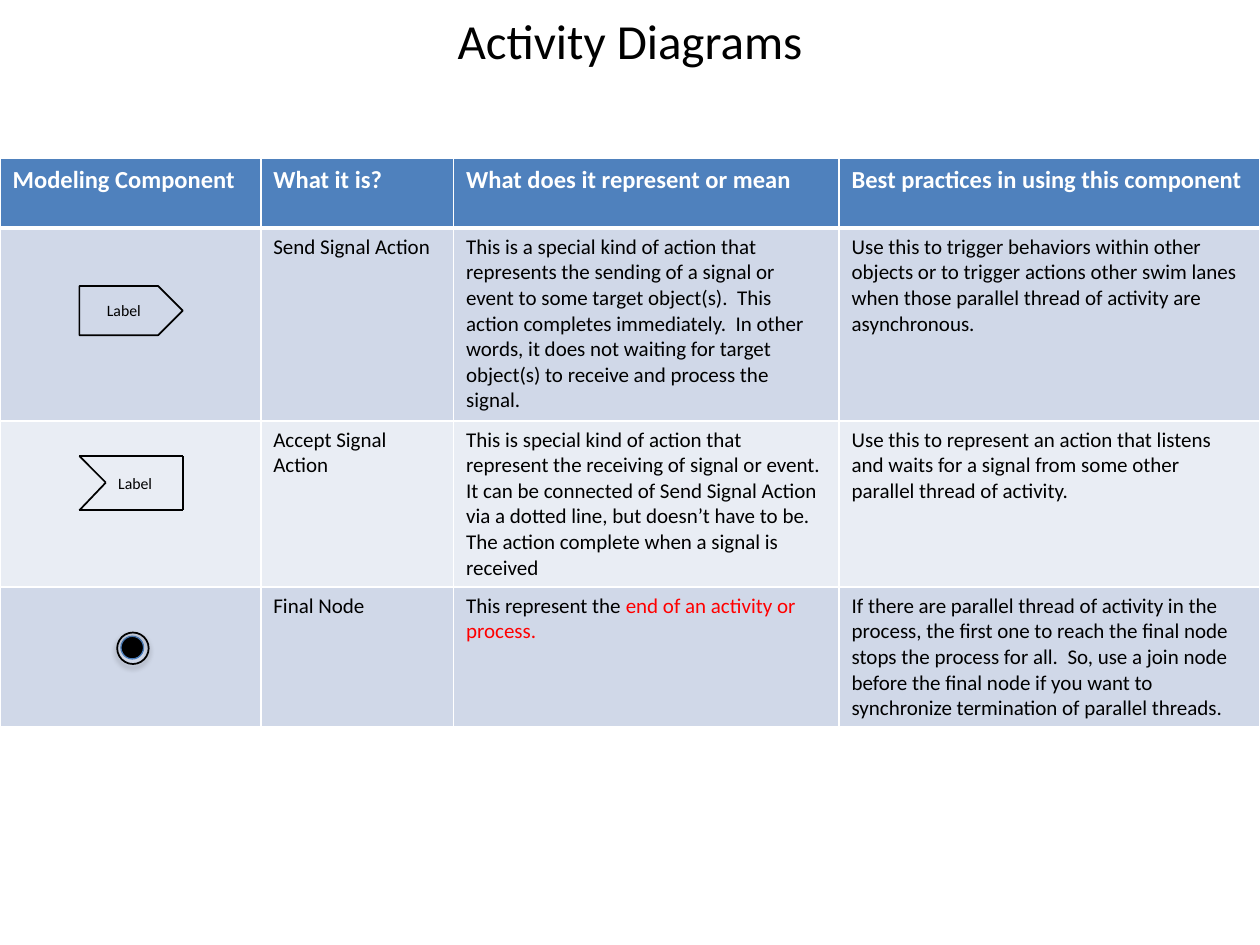
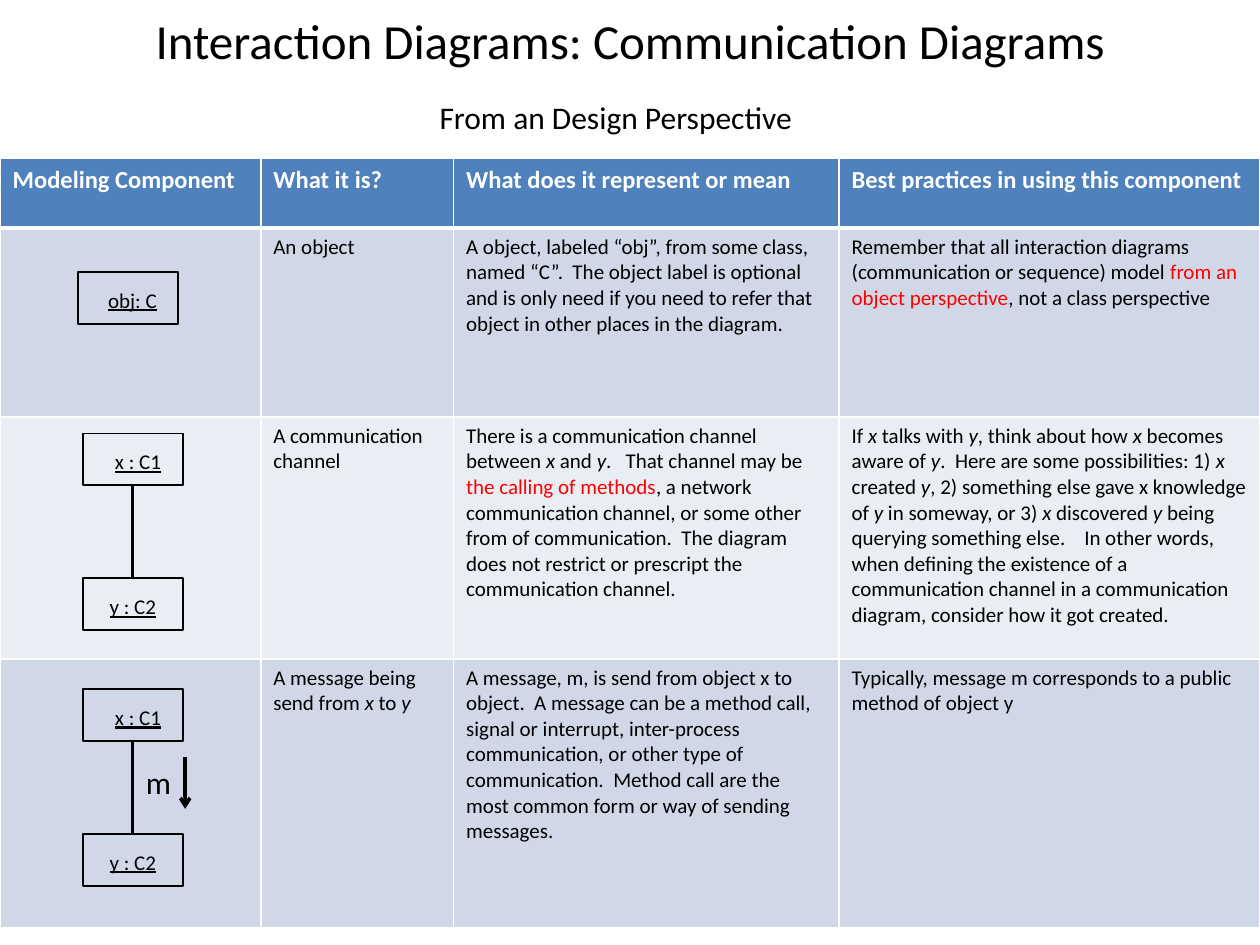
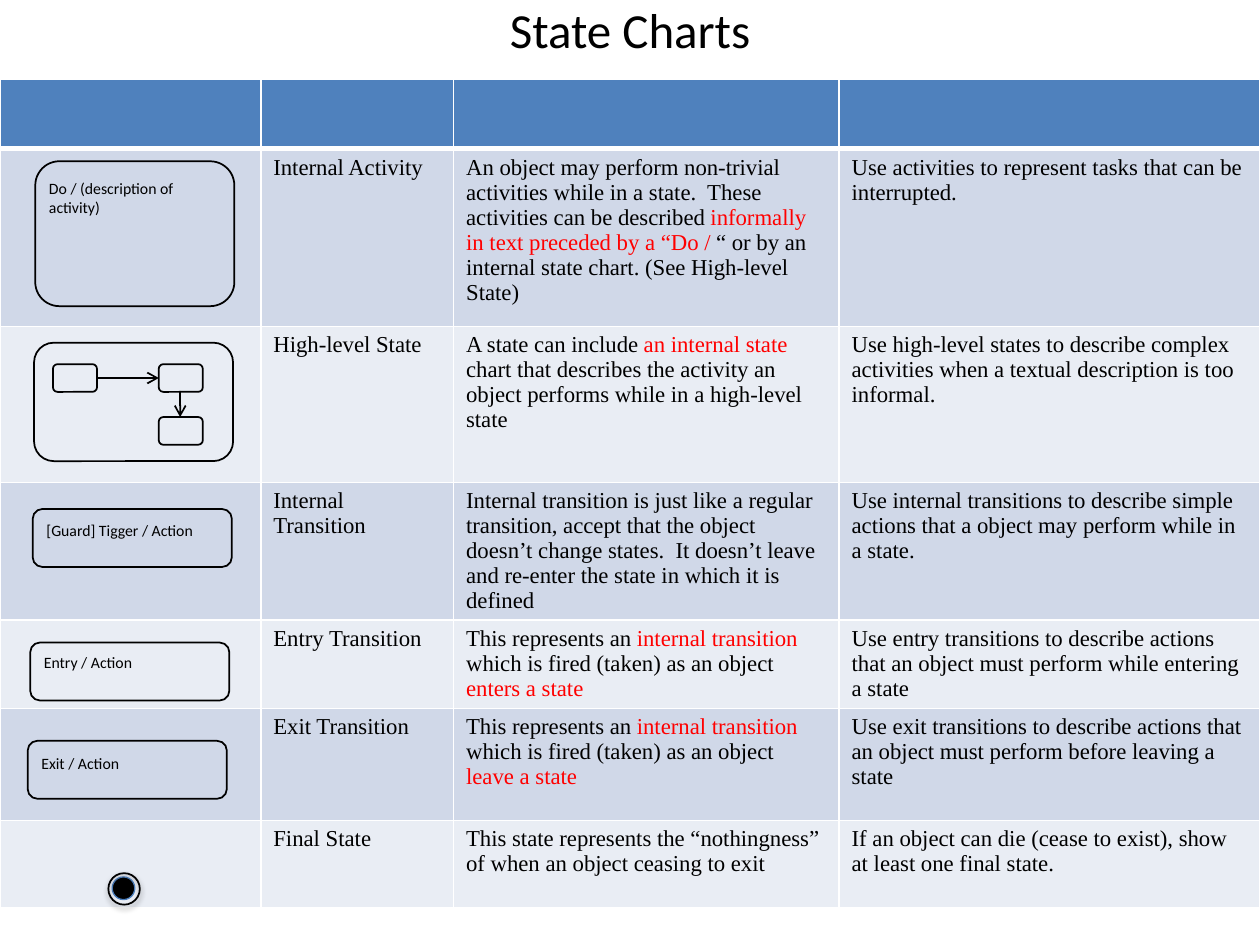
from lxml import etree
from pptx import Presentation
from pptx import util as u
from pptx.dml.color import RGBColor
from pptx.enum import shapes, text
from pptx.oxml import ns

COLORS = {
    "ink": "000000", "paper": "FFFFFF", "header": "4F81BD", "alert": "FF0000",
    "odd_row": "D0D8E8", "even_row": "E9EDF4", "node_edge": "4B7EBC",
}
SANS, SERIF = "Calibri", "Times New Roman"
COLUMN_WIDTHS = [2.07, 1.53, 3.06, 3.34]
HEADINGS = ["Modeling Component", "What it is?", "What does it represent or mean",
            "Best practices in using this component"]
CENTER = text.PP_ALIGN.CENTER
MIDDLE = text.MSO_ANCHOR.MIDDLE
SHAPE = shapes.MSO_SHAPE

ACTIVITY_ROWS = [
    ["Send Signal Action",
     "This is a special kind of action that represents the sending of a signal or event to some "
     "target object(s).  This action completes immediately.  In other words, it does not waiting "
     "for target object(s) to receive and process the signal.",
     "Use this to trigger behaviors within other objects or to trigger actions other swim lanes "
     "when those parallel thread of activity are asynchronous."],
    ["Accept Signal Action",
     "This is special kind of action that represent the receiving of signal or event.  It can be "
     "connected of Send Signal Action via a dotted line, but doesn’t have to be.  The action "
     "complete when a signal is received",
     "Use this to represent an action that listens and waits for a signal from some other "
     "parallel thread of activity."],
    ["Final Node",
     "This represent the |end of an activity or process.|",
     "If there are parallel thread of activity in the process, the first one to reach the final "
     "node stops the process for all.  So, use a join node before the final node if you want to "
     "synchronize termination of parallel threads."],
]
COMMUNICATION_ROWS = [
    ["An object",
     "A object, labeled “obj”, from some class, named “C”.  The object label is optional and is "
     "only need if you need to refer that object in other places in the diagram.",
     "Remember that all interaction diagrams (communication or sequence) model "
     "|from an object perspective|, not a class perspective"],
    ["A communication channel",
     "There is a communication channel between _x_ and _y_.   That channel may be "
     "|the calling of methods|, a network communication channel, or some other from of "
     "communication.  The diagram does not restrict or prescript the communication channel.",
     "If _x_ talks with _y_, think about how _x_ becomes aware of _y_.  Here are some "
     "possibilities: 1) _x_ created _y_, 2) something else gave x knowledge of _y_ in someway, "
     "or 3) _x_ discovered _y_ being querying something else.    In other words, when defining "
     "the existence of a communication channel in a communication diagram, consider how it got "
     "created."],
    ["A message being send from _x_ to _y_",
     "A message, m, is send from object x to object.  A message can be a method call, signal or "
     "interrupt, inter-process communication, or other type of communication.  Method call are "
     "the most common form or way of sending messages.",
     "Typically, message m corresponds to a public method of object y"],
]
STATE_ROWS = [
    ["Internal Activity",
     "An object may perform non-trivial activities while in a state.  These activities can be "
     "described |informally in text preceded by a “Do / |“ or by an internal state chart. "
     "(See High-level State)",
     "Use activities to represent tasks that can be interrupted."],
    ["High-level State",
     "A state can include |an internal state |chart that describes the activity an object "
     "performs while in a high-level state",
     "Use high-level states to describe complex activities when a textual description is too "
     "informal."],
    ["Internal Transition",
     "Internal transition is just like a regular transition, accept that the object doesn’t "
     "change states.  It doesn’t leave and re-enter the state in which it is defined",
     "Use internal transitions to describe simple actions that a object may perform while in a "
     "state."],
    ["Entry Transition",
     "This represents an |internal transition |which is fired (taken) as an object "
     "|enters a state|",
     "Use entry transitions to describe actions that an object must perform while entering a "
     "state"],
    ["Exit Transition",
     "This represents an |internal transition |which is fired (taken) as an object "
     "|leave a state|",
     "Use exit transitions to describe actions that an object must perform before leaving a "
     "state"],
    ["Final State",
     "This state represents the “nothingness” of when an object ceasing to exit",
     "If an object can die (cease to exist), show at least one final state."],
]


def rgb(name):
    """Return the named palette colour."""
    return RGBColor.from_string(COLORS[name])


def add_xml(parent, tag, **attributes):
    """Append a DrawingML element and return it."""
    return etree.SubElement(parent, ns.qn(tag), attributes)


def write_text(frame, content, size=12, font=SANS, color="ink", bold=False,
               underline=False, align=None, line_height=None):
    """Write one paragraph, with |red| and _italic_ marks."""
    paragraph = frame.paragraphs[0]
    paragraph.alignment = align
    if line_height:
        paragraph.line_spacing = u.Pt(line_height)
    for red_index, section in enumerate(content.split("|")):
        for italic_index, part in enumerate(section.split("_")):
            if not part:
                continue
            run = paragraph.add_run()
            run.text = part
            run.font.name = font
            run.font.size = u.Pt(size)
            run.font.bold = bold
            run.font.italic = italic_index % 2 == 1
            run.font.underline = underline
            run.font.color.rgb = rgb("alert" if red_index % 2 else color)


def add_label(slide, box, content, wrap=False, anchor=None, **style):
    """Add a text box."""
    frame = slide.shapes.add_textbox(*map(u.Inches, box)).text_frame
    frame.word_wrap = wrap
    frame.vertical_anchor = anchor
    write_text(frame, content, **style)


def add_outline(slide, kind, box, fill=None, line="ink", width=1):
    """Add a preset shape with a plain outline and an optional fill."""
    shape = slide.shapes.add_shape(kind, *map(u.Inches, box))
    shape.shadow.inherit = False
    if fill:
        shape.fill.solid()
        shape.fill.fore_color.rgb = rgb(fill)
    else:
        shape.fill.background()
    shape.line.color.rgb = rgb(line)
    shape.line.width = u.Pt(width)
    return shape


def add_line(slide, start, end, width=1, arrow=False):
    """Add a straight black line or arrow."""
    line = slide.shapes.add_connector(
        shapes.MSO_CONNECTOR.STRAIGHT, *map(u.Inches, (*start, *end)))
    line.line.color.rgb = rgb("ink")
    line.line.width = u.Pt(width)
    if arrow:
        add_xml(line.line._get_or_add_ln(), "a:tailEnd", type="arrow")
    add_xml(line._element.spPr, "a:effectLst")


def add_title(slide, content, top=0.02):
    """Add the centred slide title."""
    add_label(slide, (0.5, top, 9, 0.6), content, wrap=True, anchor=MIDDLE,
              size=28, align=CENTER)


def style_cell(cell, fill, bottom_width):
    """Give a cell white borders and a fill."""
    properties = cell._tc.get_or_add_tcPr()
    for side in "LRTB":
        width = bottom_width if side == "B" else 1
        border = add_xml(properties, f"a:ln{side}", w=str(u.Pt(width)))
        add_xml(add_xml(border, "a:solidFill"), "a:srgbClr", val=COLORS["paper"])
    cell.fill.solid()
    cell.fill.fore_color.rgb = rgb(fill)


def add_component_table(slide, top, heights, headings, rows, **body_style):
    """Add the four-column table; its first column holds the diagrams."""
    box = (0, top, sum(COLUMN_WIDTHS), sum(heights))
    table = slide.shapes.add_table(len(heights), 4, *map(u.Inches, box)).table
    table.first_row = table.horz_banding = False
    for column, width in zip(table.columns, COLUMN_WIDTHS):
        column.width = u.Inches(width)
    for row, height in zip(table.rows, heights):
        row.height = u.Inches(height)
    header_style = {"size": 14, "color": "paper", "bold": True}
    for row_index, values in enumerate([headings] + [[""] + row for row in rows]):
        is_header = row_index == 0
        fill = "header" if is_header else "odd_row" if row_index % 2 else "even_row"
        for column_index, value in enumerate(values):
            cell = table.cell(row_index, column_index)
            style_cell(cell, fill, 3 if is_header else 1)
            write_text(cell.text_frame, value, **(header_style if is_header else body_style))


def add_final_node(slide, left, top):
    """Draw a black disc in a ring with a soft shadow."""
    add_outline(slide, SHAPE.OVAL, (left + 0.03, top + 0.03, 0.18, 0.18),
                fill="ink", line="node_edge", width=0.75)
    ring = add_outline(slide, SHAPE.OVAL, (left, top, 0.25, 0.25))
    effects = ring._element.spPr.find(ns.qn("a:effectLst"))
    shadow = add_xml(effects, "a:outerShdw", blurRad=str(u.Pt(3.1)), dist=str(u.Pt(1.8)),
                     dir="5400000", rotWithShape="0")
    add_xml(add_xml(shadow, "a:srgbClr", val=COLORS["ink"]), "a:alpha", val="35000")


def add_send_signal(slide, left, top):
    """Draw the send signal pentagon."""
    add_outline(slide, SHAPE.PENTAGON, (left, top, 0.82, 0.39))
    add_label(slide, (left + 0.12, top + 0.07, 0.47, 0.25), "Label", size=9)


def add_accept_signal(slide, left, top):
    """Draw the notched accept signal from five lines."""
    right, bottom = left + 0.82, top + 0.43
    corners = [(left, top), (right, top), (right, bottom), (left, bottom),
               (left + 0.21, top + 0.21)]
    for start, end in zip(corners, corners[1:] + corners[:1]):
        add_line(slide, start, end)
    add_label(slide, (left + 0.21, top + 0.09, 0.47, 0.25), "Label", size=9)


def add_object(slide, left, top, name, indent, align=CENTER):
    """Draw an object box with its underlined name."""
    add_label(slide, (left + indent, top + 0.07, 0.59, 0.3), name, underline=True, align=align)
    add_outline(slide, SHAPE.RECTANGLE, (left, top, 0.79, 0.41))


def add_channel(slide, left, top):
    """Draw two objects joined by a channel."""
    add_object(slide, left, top, "x : C1", 0.14)
    add_object(slide, left, top + 1.15, "y : C2", 0.1)
    add_line(slide, (left + 0.39, top + 0.4), (left + 0.39, top + 1.15), width=2)


def add_message(slide, left, top):
    """Draw a channel with a message arrow beside it."""
    add_channel(slide, left, top)
    add_label(slide, (left + 0.4, top + 0.54, 0.4, 0.4), "m", size=18)
    add_line(slide, (left + 0.81, top + 0.54), (left + 0.81, top + 0.95), width=2, arrow=True)


def add_state(slide, left, top, height, label, label_drop, label_height=0.25):
    """Draw a rounded state with its label."""
    add_outline(slide, SHAPE.ROUNDED_RECTANGLE, (left, top, 1.58, height))
    add_label(slide, (left + 0.01, top + label_drop, 1.55, label_height), label,
              wrap=True, size=9)


def add_high_level_state(slide, left, top):
    """Draw a state that holds three linked states."""
    add_outline(slide, SHAPE.ROUNDED_RECTANGLE, (left, top, 1.58, 0.94))
    for x, y in [(0.15, 0.17), (0.99, 0.17), (0.99, 0.59)]:
        add_outline(slide, SHAPE.ROUNDED_RECTANGLE, (left + x, top + y, 0.35, 0.22))
    add_line(slide, (left + 0.5, top + 0.28), (left + 0.99, top + 0.28), arrow=True)
    add_line(slide, (left + 1.16, top + 0.38), (left + 1.16, top + 0.59), arrow=True)


def build_activity_slide(slide):
    """Build the activity diagram slide."""
    add_title(slide, "Activity Diagrams")
    add_component_table(slide, 1.26, [0.55, 1.53, 1.32, 1.11], HEADINGS, ACTIVITY_ROWS)
    add_final_node(slide, 0.93, 5.02)
    add_send_signal(slide, 0.63, 2.27)
    add_accept_signal(slide, 0.63, 3.62)


def build_communication_slide(slide):
    """Build the communication diagram slide."""
    add_title(slide, "Interaction Diagrams: Communication Diagrams")
    add_component_table(slide, 1.26, [0.55, 1.5, 1.92, 2.13], HEADINGS, COMMUNICATION_ROWS)
    add_label(slide, (3.39, 0.73, 3.04, 0.4), "From an Design Perspective", size=18)
    add_object(slide, 0.62, 2.16, "obj: C", 0.14, align=None)
    add_channel(slide, 0.66, 3.44)
    add_message(slide, 0.66, 5.47)


def build_state_slide(slide):
    """Build the state chart slide."""
    add_title(slide, "State Charts", top=-0.07)
    add_component_table(slide, 0.63, [0.55, 1.41, 1.24, 1.09, 0.7, 0.89, 0.69], [""] * 4,
                        STATE_ROWS, size=13, font=SERIF, line_height=14.3)
    add_final_node(slide, 0.86, 6.93)
    add_high_level_state(slide, 0.27, 2.72)
    add_state(slide, 0.28, 1.28, 1.15, "Do / (description of activity)", 0.09, 0.4)
    add_state(slide, 0.26, 4.04, 0.46, "[Guard] Tigger / Action", 0.04)
    add_state(slide, 0.24, 5.1, 0.46, "Entry / Action", 0.03)
    add_state(slide, 0.22, 5.88, 0.46, "Exit / Action", 0.05)


def main():
    """Build and save the presentation."""
    presentation = Presentation()
    presentation.slide_width = u.Inches(10)
    presentation.slide_height = u.Inches(7.5)
    for build in (build_activity_slide, build_communication_slide, build_state_slide):
        build(presentation.slides.add_slide(presentation.slide_layouts[6]))
    presentation.save("out.pptx")


if __name__ == "__main__":
    main()
